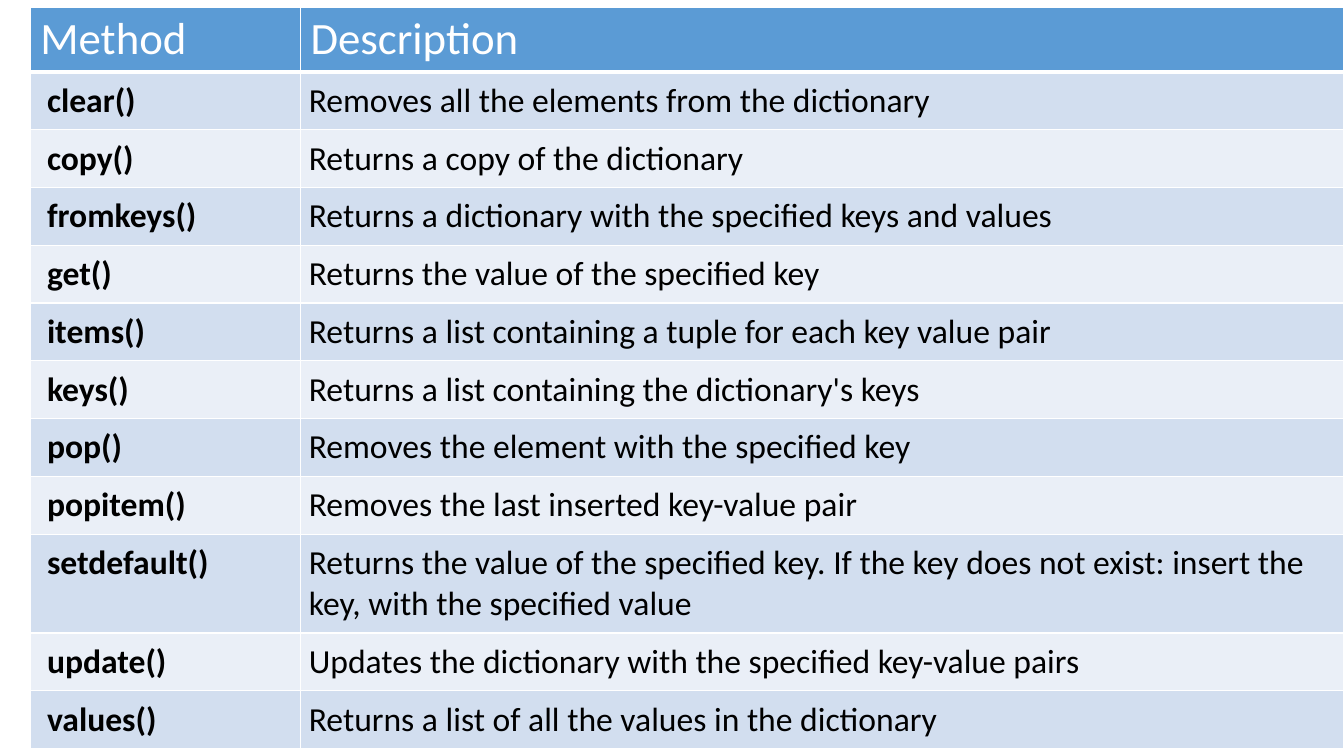
import pptx
import pptx.util
import pptx.dml.color
import pptx.oxml.ns
from lxml import etree

Inches, Pt = pptx.util.Inches, pptx.util.Pt

# Content
HEAD = ("Method", "Description")
METHODS = [
    ("clear()", "Removes all the elements from the dictionary"),
    ("copy()", "Returns a copy of the dictionary"),
    ("fromkeys()", "Returns a dictionary with the specified keys and values"),
    ("get()", "Returns the value of the specified key"),
    ("items()", "Returns a list containing a tuple for each key value pair"),
    ("keys()", "Returns a list containing the dictionary's keys"),
    ("pop()", "Removes the element with the specified key"),
    ("popitem()", "Removes the last inserted key-value pair"),
    ("setdefault()", "Returns the value of the specified key. If the key does "
                     "not exist: insert the key, with the specified value"),
    ("update()", "Updates the dictionary with the specified key-value pairs"),
    ("values()", "Returns a list of all the values in the dictionary"),
]

THEME = {
    "font": "Calibri", "head_size": 32, "body_size": 24,
    "head": "5B9BD5", "bands": ("D2DEEF", "EAEFF7"),
    "light": "FFFFFF", "dark": "000000",
}

# Layout
LEFT, TOP = 0.3, 0.07
WIDTHS = (2.68, 10.35)
HEAD_H, LINE_H, TALL_H = 0.47, 0.55, 0.89
WRAP = 80  # longest description that fits on one line
PAD, INDENT = Pt(6), Pt(12)


def rgb(code):
    return pptx.dml.color.RGBColor.from_string(code)


def rule(cell, side, width):
    props = cell._tc.get_or_add_tcPr()
    qn = pptx.oxml.ns.qn
    line = etree.SubElement(props, qn(f"a:ln{side}"), w=str(Pt(width)))
    fill = etree.SubElement(line, qn("a:solidFill"))
    etree.SubElement(fill, qn("a:srgbClr"), val=THEME["light"])


def fill_cell(cell, text, back, ink, size, bold=False, base=1):
    # Borders come before the fill in the cell properties
    for side in "LRTB":
        rule(cell, side, base if side == "B" else 1)
    cell.fill.solid()
    cell.fill.fore_color.rgb = rgb(back)
    run = cell.text_frame.paragraphs[0].add_run()
    run.text = text
    font = run.font
    font.name, font.size, font.bold = THEME["font"], Pt(size), bold
    font.color.rgb = rgb(ink)


def main():
    deck = pptx.Presentation()
    deck.slide_width, deck.slide_height = Inches(13.33), Inches(7.5)
    slide = deck.slides.add_slide(deck.slide_layouts[6])

    # Table frame
    heights = [HEAD_H] + [TALL_H if len(note) > WRAP else LINE_H
                          for _, note in METHODS]
    table = slide.shapes.add_table(
        len(heights), len(WIDTHS), Inches(LEFT), Inches(TOP),
        Inches(sum(WIDTHS)), Inches(sum(heights))).table
    for col, width in zip(table.columns, WIDTHS):
        col.width = Inches(width)
    for row, height in zip(table.rows, heights):
        row.height = Inches(height)

    # Header row
    for c, text in enumerate(HEAD):
        fill_cell(table.cell(0, c), text, THEME["head"], THEME["light"],
                  THEME["head_size"], base=3)

    # Method rows in alternating bands
    for r, texts in enumerate(METHODS):
        for c, text in enumerate(texts):
            cell = table.cell(r + 1, c)
            cell.margin_left = PAD if c else INDENT
            cell.margin_right = cell.margin_top = cell.margin_bottom = PAD
            fill_cell(cell, text, THEME["bands"][r % 2], THEME["dark"],
                      THEME["body_size"], bold=c == 0)

    deck.save("out.pptx")


if __name__ == "__main__":
    main()
